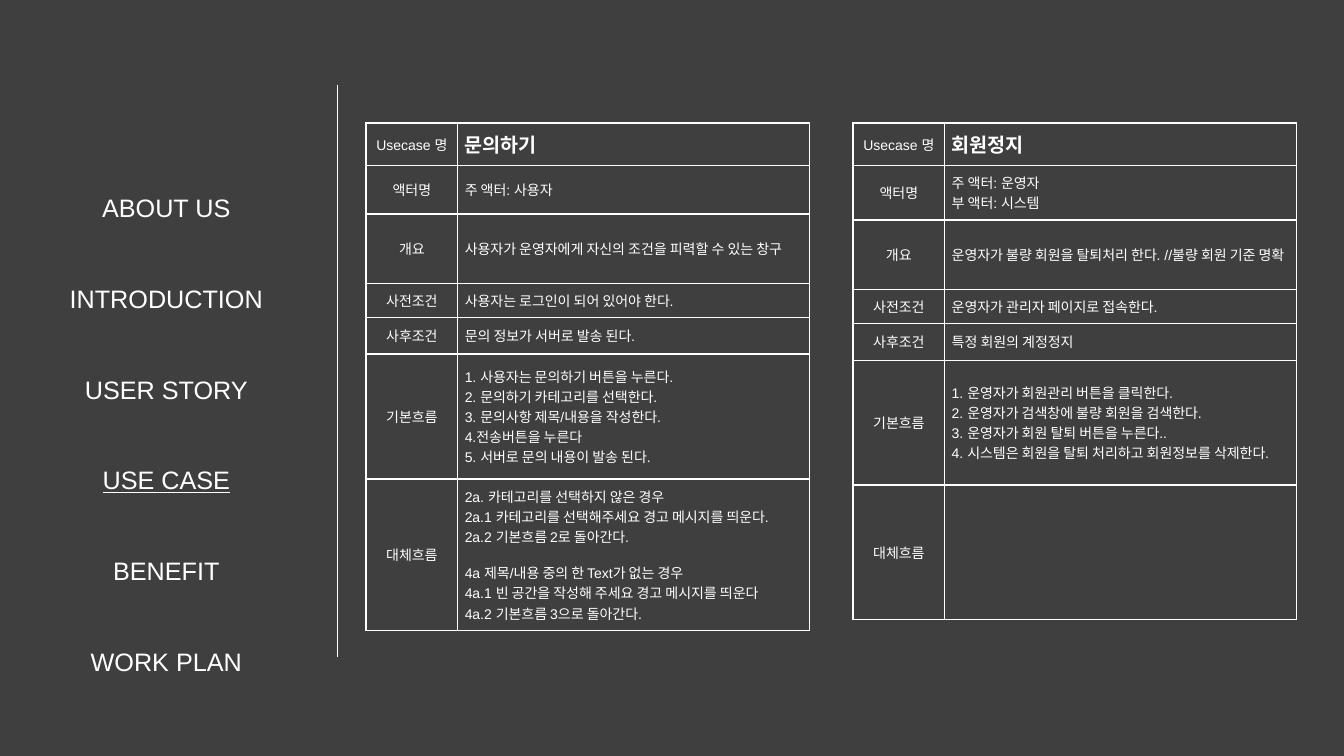
"""Build the use case slide: a section menu beside two use case tables."""
import pptx
import pptx.dml.color
import pptx.enum.shapes
import pptx.enum.text
import pptx.oxml
import pptx.oxml.ns
import pptx.util
from pptx.util import Inches

COLORS = {"background": "3F3F3F", "light": "FFFFFF"}
FONT = "Arial"
MENU = ["ABOUT US", "INTRODUCTION", "USER STORY", "USE CASE", "BENEFIT", "WORK PLAN"]
CURRENT = "USE CASE"
LABELS = ["Usecase 명", "액터명", "개요", "사전조건", "사후조건", "기본흐름", "대체흐름"]
INQUIRY = [
    ["문의하기"],
    ["주 액터: 사용자"],
    ["사용자가 운영자에게 자신의 조건을 피력할 수 있는 창구"],
    ["사용자는 로그인이 되어 있어야 한다."],
    ["문의 정보가 서버로 발송 된다."],
    ["1. 사용자는 문의하기 버튼을 누른다.",
     "2. 문의하기 카테고리를 선택한다.",
     "3. 문의사항 제목/내용을 작성한다.",
     "4.전송버튼을 누른다",
     "5. 서버로 문의 내용이 발송 된다."],
    ["2a. 카테고리를 선택하지 않은 경우",
     "2a.1 카테고리를 선택해주세요 경고 메시지를 띄운다.",
     "2a.2 기본흐름 2로 돌아간다.",
     "4a 제목/내용 중의 한 Text가 없는 경우",
     "4a.1 빈 공간을 작성해 주세요 경고 메시지를 띄운다",
     "4a.2 기본흐름 3으로 돌아간다."],
]
SUSPENSION = [
    ["회원정지"],
    ["주 액터: 운영자", "부 액터: 시스템"],
    ["운영자가 불량 회원을 탈퇴처리 한다. //불량 회원 기준 명확"],
    ["운영자가 관리자 페이지로 접속한다."],
    ["특정 회원의 계정정지"],
    ["1. 운영자가 회원관리 버튼을 클릭한다.",
     "2. 운영자가 검색창에 불량 회원을 검색한다.",
     "3. 운영자가 회원 탈퇴 버튼을 누른다..",
     "4. 시스템은 회원을 탈퇴 처리하고 회원정보를 삭제한다."],
    [],
]
TABLES = [(3.63, INQUIRY), (8.46, SUSPENSION)]
TABLE_TOP = 1.22
COLUMNS = [0.91, 3.49]
ROWS = [0.42, 0.48, 0.69, 0.32, 0.36, 1.24, 1.33]
BRANCH_START = "4a "
BRANCH_GAP = 11.5


def rgb(name):
    return pptx.dml.color.RGBColor.from_string(COLORS[name])


def write(tf, lines, size, bold=False, align=pptx.enum.text.PP_ALIGN.LEFT):
    for i, line in enumerate(lines):
        p = tf.paragraphs[0] if i == 0 else tf.add_paragraph()
        p.text = line
        p.alignment = align
        p.font.name = FONT
        p.font.size = pptx.util.Pt(size)
        p.font.bold = bold
        p.font.color.rgb = rgb("light")
        if line.startswith(BRANCH_START):
            p.space_before = pptx.util.Pt(BRANCH_GAP)


def add_borders(cell):
    tc_pr = cell._tc.get_or_add_tcPr()
    for i, side in enumerate(("lnL", "lnR", "lnT", "lnB")):
        tc_pr.insert(i, pptx.oxml.parse_xml(
            f'<a:{side} {pptx.oxml.ns.nsdecls("a")} w="12700"><a:solidFill>'
            f'<a:srgbClr val="{COLORS["light"]}"/></a:solidFill></a:{side}>'))


def add_use_case(slide, left, details):
    table = slide.shapes.add_table(
        len(ROWS), len(COLUMNS), Inches(left), Inches(TABLE_TOP),
        Inches(sum(COLUMNS)), Inches(sum(ROWS))).table
    table.first_row = False
    table.horz_banding = False
    for column, width in zip(table.columns, COLUMNS):
        column.width = Inches(width)
    for row, height in zip(table.rows, ROWS):
        row.height = Inches(height)
    for i, (label, lines) in enumerate(zip(LABELS, details)):
        name, detail = table.cell(i, 0), table.cell(i, 1)
        for cell in (name, detail):
            cell.fill.background()
            add_borders(cell)
            cell.vertical_anchor = pptx.enum.text.MSO_ANCHOR.MIDDLE
            cell.margin_left = cell.margin_right = Inches(0.07)
            cell.margin_top = cell.margin_bottom = Inches(0.07)
        write(name.text_frame, [label], 10, align=pptx.enum.text.PP_ALIGN.CENTER)
        write(detail.text_frame, lines, 14 if i == 0 else 10, bold=i == 0)


def add_menu(slide):
    tf = slide.shapes.add_textbox(0, Inches(1.26), Inches(3.3), Inches(4.48)).text_frame
    tf.word_wrap = True
    write(tf, MENU, 18, align=pptx.enum.text.PP_ALIGN.CENTER)
    for p in tf.paragraphs:
        p.line_spacing = 3.0
        p.font.underline = p.text == CURRENT


def add_divider(slide):
    line = slide.shapes.add_connector(
        pptx.enum.shapes.MSO_CONNECTOR.STRAIGHT,
        Inches(3.35), Inches(0.84), Inches(3.35), Inches(6.52))
    line.line.color.rgb = rgb("light")
    line.line.width = pptx.util.Pt(0.75)
    line._element.spPr.append(pptx.oxml.parse_xml(
        f'<a:effectLst {pptx.oxml.ns.nsdecls("a")}/>'))


def main():
    prs = pptx.Presentation()
    prs.slide_width, prs.slide_height = Inches(13.33), Inches(7.5)
    slide = prs.slides.add_slide(prs.slide_layouts[6])
    slide.background.fill.solid()
    slide.background.fill.fore_color.rgb = rgb("background")
    add_divider(slide)
    for left, details in TABLES:
        add_use_case(slide, left, details)
    add_menu(slide)
    prs.save("out.pptx")


if __name__ == "__main__":
    main()
